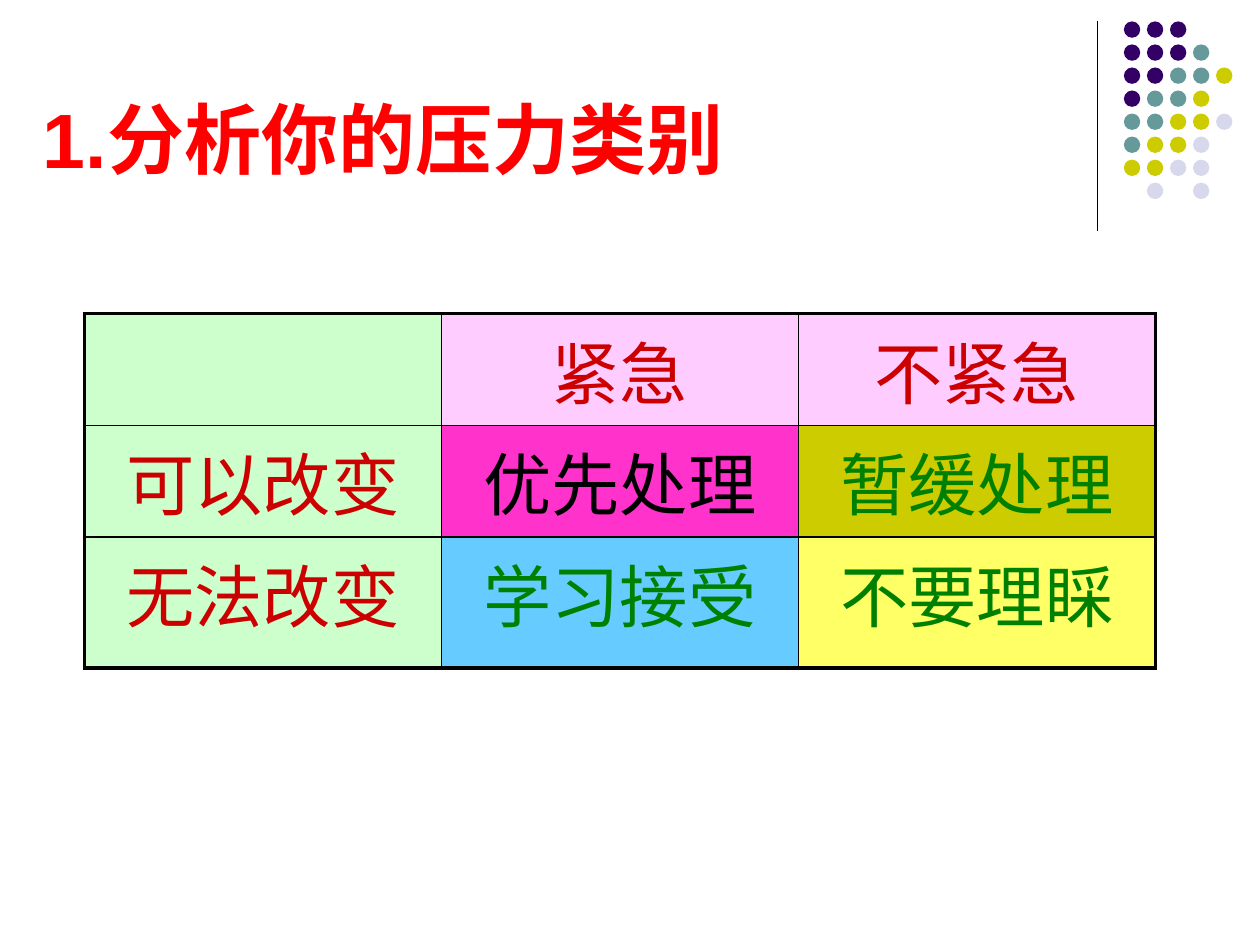
from dataclasses import dataclass

from lxml import etree
from pptx import Presentation
from pptx import util as u
from pptx.dml.color import RGBColor
from pptx.enum import shapes, text
from pptx.oxml.ns import qn


@dataclass(frozen=True)
class Theme:
    black: str = "000000"
    title_red: str = "FF0000"
    label_red: str = "CC0000"
    advice_green: str = "008000"
    mint: str = "CCFFCC"
    pink: str = "FFCCFF"
    magenta: str = "FF33CC"
    olive: str = "CCCC00"
    sky: str = "66CCFF"
    yellow: str = "FFFF66"
    purple: str = "330066"
    teal: str = "669999"
    lavender: str = "D8D8EC"
    title_font: str = "Arial"
    table_font: str = "Lato"
    title_size: float = 44
    table_size: float = 39
    rule: float = 0.75
    inner_border: float = 1
    outer_border: float = 2.25


THEME = Theme()

DOT_ROWS = ["PPP", "PPPT", "PPTTO", "PTTO", "TTOOL", "TOOL", "OOLL", " L L"]
DOT_COLORS = {
    "P": THEME.purple,
    "T": THEME.teal,
    "O": THEME.olive,
    "L": THEME.lavender,
}

STRESS_ROWS = [
    [
        ("", THEME.label_red, THEME.mint),
        ("紧急", THEME.label_red, THEME.pink),
        ("不紧急", THEME.label_red, THEME.pink),
    ],
    [
        ("可以改变", THEME.label_red, THEME.mint),
        ("优先处理", THEME.black, THEME.magenta),
        ("暂缓处理", THEME.advice_green, THEME.olive),
    ],
    [
        ("无法改变", THEME.label_red, THEME.mint),
        ("学习接受", THEME.advice_green, THEME.sky),
        ("不要理睬", THEME.advice_green, THEME.yellow),
    ],
]


def write(frame, words, *, font, size, color, bold=False, align=text.PP_ALIGN.LEFT):
    para = frame.paragraphs[0]
    para.alignment = align
    span = para.add_run()
    span.text = words
    span.font.name = font
    span.font.size = u.Pt(size)
    span.font.bold = bold
    span.font.color.rgb = RGBColor.from_string(color)


class SlideBuilder:
    def __init__(self, page, theme):
        self.page = page
        self.theme = theme

    def title(self, words, left, top, width, height):
        box = self.page.shapes.title
        box.left, box.top = u.Inches(left), u.Inches(top)
        box.width, box.height = u.Inches(width), u.Inches(height)
        frame = box.text_frame
        frame.auto_size = text.MSO_AUTO_SIZE.NONE
        frame.vertical_anchor = text.MSO_ANCHOR.BOTTOM
        write(frame, words, font=self.theme.title_font, size=self.theme.title_size,
              color=self.theme.title_red, bold=True)

    def vertical_rule(self, left, top, bottom):
        line = self.page.shapes.add_connector(
            shapes.MSO_CONNECTOR.STRAIGHT,
            u.Inches(left), u.Inches(top), u.Inches(left), u.Inches(bottom))
        line.line.color.rgb = RGBColor.from_string(self.theme.black)
        line.line.width = u.Pt(self.theme.rule)
        etree.SubElement(line._element.spPr, qn("a:effectLst"))

    def dots(self, rows, colors, left, top, pitch, size):
        group = self.page.shapes.add_group_shape()
        for row, marks in enumerate(rows):
            for column, mark in enumerate(marks):
                if mark in colors:
                    dot = group.shapes.add_shape(
                        shapes.MSO_SHAPE.OVAL,
                        u.Inches(left + column * pitch), u.Inches(top + row * pitch),
                        u.Inches(size), u.Inches(size))
                    dot.shadow.inherit = False
                    dot.fill.solid()
                    dot.fill.fore_color.rgb = RGBColor.from_string(colors[mark])
                    dot.line.fill.background()

    def table(self, rows, left, top, width, heights):
        columns = len(rows[0])
        holder = self.page.shapes.add_table(
            len(rows), columns, u.Inches(left), u.Inches(top),
            u.Inches(width), u.Inches(sum(heights)))
        grid = holder.table
        grid.first_row = grid.horz_banding = False
        for column in grid.columns:
            column.width = u.Inches(width / columns)
        for row, (cells, height) in enumerate(zip(rows, heights)):
            grid.rows[row].height = u.Inches(height)
            for column, (words, color, fill) in enumerate(cells):
                cell = grid.cell(row, column)
                cell.fill.solid()
                cell.fill.fore_color.rgb = RGBColor.from_string(fill)
                self.borders(cell, {
                    "lnL": column == 0,
                    "lnR": column == columns - 1,
                    "lnT": row == 0,
                    "lnB": row == len(rows) - 1,
                })
                if words:
                    write(cell.text_frame, words, font=self.theme.table_font,
                          size=self.theme.table_size, color=color,
                          align=text.PP_ALIGN.CENTER)

    def borders(self, cell, edges):
        properties = cell._tc.get_or_add_tcPr()
        for position, (side, is_outer) in enumerate(edges.items()):
            width = self.theme.outer_border if is_outer else self.theme.inner_border
            line = etree.Element(qn(f"a:{side}"), w=str(int(u.Pt(width))))
            fill = etree.SubElement(line, qn("a:solidFill"))
            etree.SubElement(fill, qn("a:srgbClr"), val=self.theme.black)
            properties.insert(position, line)


def main():
    deck = Presentation()
    deck.slide_width, deck.slide_height = u.Inches(10), u.Inches(7.5)
    page = deck.slides.add_slide(deck.slide_layouts.get_by_name("Title Only"))
    builder = SlideBuilder(page, THEME)
    builder.vertical_rule(8.71, 0.17, 1.83)
    builder.dots(DOT_ROWS, DOT_COLORS, left=8.92, top=0.17, pitch=1.28 / 7, size=0.13)
    builder.title("1.分析你的压力类别", 0.24, -0.09, 8.52, 1.6)
    builder.table(STRESS_ROWS, 0.67, 2.49, 8.5, [0.84, 0.87, 1.04])
    deck.save("out.pptx")


if __name__ == "__main__":
    main()
